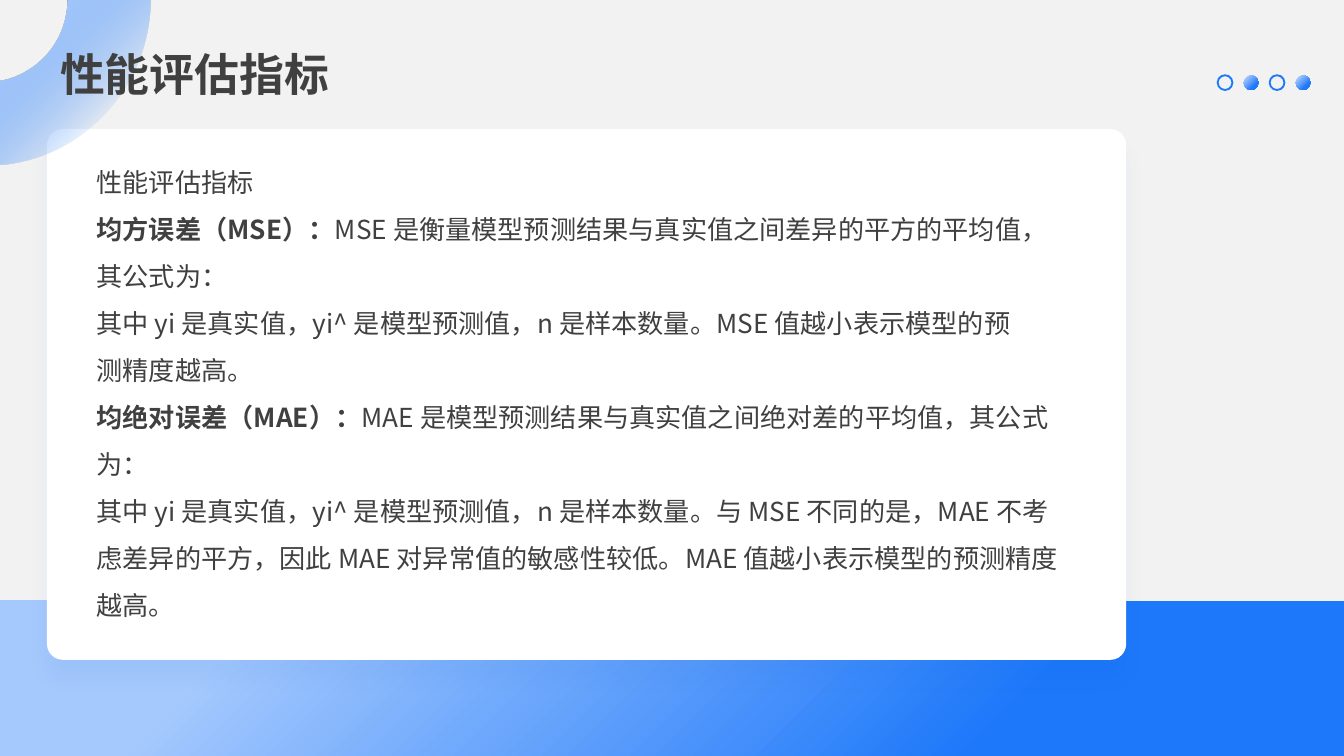
from pptx import Presentation, util as u
from pptx.dml.color import RGBColor
from pptx.enum import shapes, text
from pptx.oxml import parse_xml
from pptx.oxml.ns import qn
from lxml import etree

# Content: each body line is a list of (text, bold) runs
TITLE = "性能评估指标"
BODY = [
    [("性能评估指标", False)],
    [("均方误差（MSE）：", True),
     ("MSE 是衡量模型预测结果与真实值之间差异的平方的平均值，", False)],
    [("其公式为：", False)],
    [("其中 yi 是真实值，yi^ 是模型预测值，n 是样本数量。MSE 值越小表示模型的预", False)],
    [("测精度越高。", False)],
    [("均绝对误差（MAE）：", True),
     ("MAE 是模型预测结果与真实值之间绝对差的平均值，其公式", False)],
    [("为：", False)],
    [("其中 yi 是真实值，yi^ 是模型预测值，n 是样本数量。与 MSE 不同的是，MAE 不考", False)],
    [("虑差异的平方，因此 MAE 对异常值的敏感性较低。MAE 值越小表示模型的预测精度", False)],
    [("越高。", False)],
]
THEME = {
    "font": "Noto Sans CJK SC", "title": 24, "body": 14,
    "ink": "404040", "back": "F2F2F2", "card": "FFFFFF",
    "pale": "A5C9FD", "blue": "1D78FA", "shade": "0557CD",
}
NS = 'xmlns:a="http://schemas.openxmlformats.org/drawingml/2006/main"'
DIAGONAL = '<a:lin ang="2700000" scaled="0"/>'
FROM_CORNER = '<a:path path="circle"><a:fillToRect r="100000" b="100000"/></a:path>'
SLIDE_WIDTH = 10
SLIDE_HEIGHT = SLIDE_WIDTH * 9 / 16


def color(name):
    return RGBColor.from_string(THEME[name])


def fill_gradient(shape, direction, end_alpha=100):
    shape.fill.background()
    blank = shape._element.spPr.find(qn("a:noFill"))
    gradient = parse_xml(
        f'<a:gradFill {NS} rotWithShape="1"><a:gsLst>'
        f'<a:gs pos="18000"><a:srgbClr val="{THEME["pale"]}"/></a:gs>'
        f'<a:gs pos="75000"><a:srgbClr val="{THEME["blue"]}">'
        f'<a:alpha val="{end_alpha * 1000}"/></a:srgbClr></a:gs>'
        f'</a:gsLst>{direction}</a:gradFill>')
    blank.getparent().replace(blank, gradient)


def add_plain(kind, *box):
    shape = slide.shapes.add_shape(kind, *map(u.Inches, box))
    shape.shadow.inherit = False
    shape.line.fill.background()
    return shape


def curve(start, c1, c2, end, steps=40):
    """Points along a cubic curve, without its start."""
    for i in range(1, steps + 1):
        t = i / steps
        weights = ((1 - t) ** 3, 3 * t * (1 - t) ** 2, 3 * t * t * (1 - t), t ** 3)
        yield tuple(sum(w * p[axis] for w, p in zip(weights, (start, c1, c2, end)))
                    for axis in (0, 1))


def add_text(lines, box, size, spacing=None):
    frame = slide.shapes.add_textbox(*map(u.Inches, box)).text_frame
    frame.word_wrap = True
    frame.vertical_anchor = text.MSO_ANCHOR.TOP
    for i, line in enumerate(lines):
        paragraph = frame.paragraphs[0] if i == 0 else frame.add_paragraph()
        paragraph.line_spacing = spacing
        for words, bold in line:
            run = paragraph.add_run()
            run.text = words
            look = {"size": u.Pt(THEME[size]), "bold": bold, "name": THEME["font"]}
            for key, value in look.items():
                setattr(run.font, key, value)
            run.font.color.rgb = color("ink")
            etree.SubElement(run.font._element, qn("a:ea"), typeface=THEME["font"])
    return frame


deck = Presentation()
deck.slide_width, deck.slide_height = u.Inches(SLIDE_WIDTH), u.Inches(SLIDE_HEIGHT)
slide = deck.slides.add_slide(deck.slide_layouts[6])
slide.background.fill.solid()
slide.background.fill.fore_color.rgb = color("back")

# Bottom band
BAND_TOP = 4.47
band = add_plain(shapes.MSO_SHAPE.RECTANGLE, 0, BAND_TOP,
                 SLIDE_WIDTH, SLIDE_HEIGHT - BAND_TOP)
fill_gradient(band, FROM_CORNER)

# White card with a soft shadow below
card = add_plain(shapes.MSO_SHAPE.ROUNDED_RECTANGLE, 0.35, 0.96, 8.03, 3.95)
card.adjustments[0] = 0.03
card.fill.solid()
card.fill.fore_color.rgb = color("card")
card._element.spPr.find(qn("a:effectLst")).append(parse_xml(
    f'<a:outerShdw {NS} blurRad="{u.Pt(10)}" dist="{u.Pt(10)}" dir="5400000" '
    f'algn="t" rotWithShape="0"><a:srgbClr val="{THEME["shade"]}">'
    '<a:alpha val="5000"/></a:srgbClr></a:outerShdw>'))

# Corner ring, fading towards the card
ring_points = [
    (1.12, 0),
    *curve((1.12, 0), (1.12, 0.64), (0.63, 1.16), (0.02, 1.22)),
    (0, 1.22), (0, 0.6), (0.01, 0.6),
    *curve((0.01, 0.6), (0.29, 0.54), (0.5, 0.3), (0.5, 0)),
]
outline = slide.shapes.build_freeform(u.Inches(0.5), 0)
outline.add_line_segments([(u.Inches(x), u.Inches(y)) for x, y in ring_points])
ring = outline.convert_to_shape()
ring.shadow.inherit = False
ring.line.fill.background()
fill_gradient(ring, DIAGONAL, end_alpha=0)

heading = add_text([[(TITLE, True)]], (0.35, 0.3, 4.34, 0.5), "title")
heading.auto_size = text.MSO_AUTO_SIZE.SHAPE_TO_FIT_TEXT

# Four dots, hollow and filled in turn
DOT_COUNT, DOT_TOP, DOT_SIZE = 4, 0.56, 0.11
FIRST_DOT, LAST_DOT = 9.06, 9.64
dot_step = (LAST_DOT - FIRST_DOT) / (DOT_COUNT - 1)
for i in range(DOT_COUNT):
    dot = add_plain(shapes.MSO_SHAPE.OVAL, FIRST_DOT + i * dot_step, DOT_TOP,
                    DOT_SIZE, DOT_SIZE)
    if i % 2:
        fill_gradient(dot, DIAGONAL)
    else:
        dot.fill.background()
        dot.line.color.rgb = color("blue")
        dot.line.width = u.Pt(1)

add_text(BODY, (0.62, 1.07, 7.83, 2.21), "body", 1.5)

deck.save("out.pptx")
